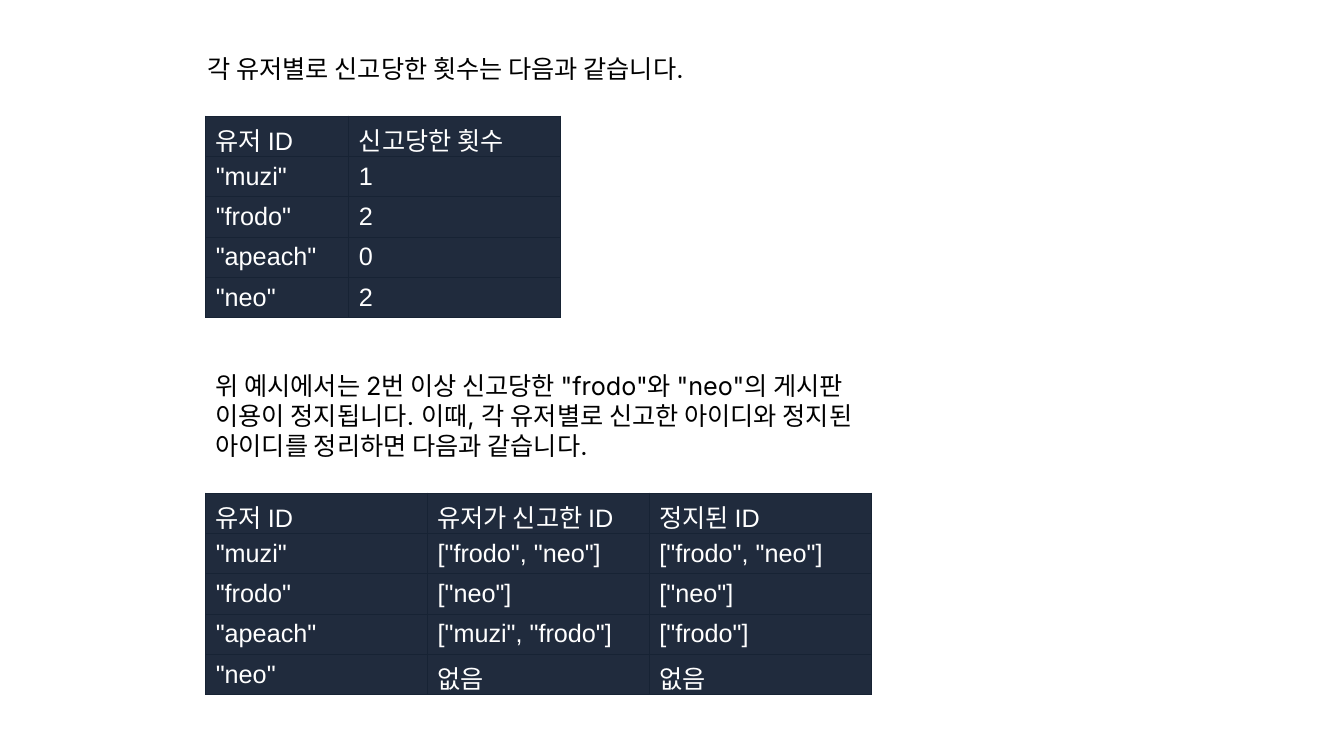
from lxml import etree
from pptx import Presentation
from pptx import util as u
from pptx.dml.color import RGBColor
from pptx.enum import text
from pptx.oxml import ns

COLORS = {"ink": "000000", "cell": "202B3D", "border": "172334", "light": "FFFFFF"}
ROW_HEIGHT = 0.4


def rgb(name):
    return RGBColor.from_string(COLORS[name])


class Page:
    body = {"name": "Inter", "size": u.Pt(18)}
    cell = {"name": "Arial", "size": u.Pt(18)}

    def __init__(self, slide):
        self.slide = slide

    def add_words(self, tf, words, style, color):
        p = tf.paragraphs[0]
        r = p.add_run()
        r.text = words
        for key, value in style.items():
            setattr(r.font, key, value)
        r.font.color.rgb = rgb(color)

    def text(self, words, left, top, width, height, wrap=True):
        sp = self.slide.shapes.add_textbox(*map(u.Inches, (left, top, width, height)))
        sp.text_frame.word_wrap = wrap
        sp.text_frame.auto_size = text.MSO_AUTO_SIZE.SHAPE_TO_FIT_TEXT
        self.add_words(sp.text_frame, words, self.body, "ink")

    def border(self, cell):
        """Draw a thin line on all four sides; lines must precede the fill."""
        props = cell._tc.get_or_add_tcPr()
        for i, side in enumerate("LRTB"):
            ln = etree.Element(ns.qn("a:ln" + side), w=str(u.Pt(0.6)))
            fill = etree.SubElement(ln, ns.qn("a:solidFill"))
            etree.SubElement(fill, ns.qn("a:srgbClr"), val=COLORS["border"])
            props.insert(i, ln)

    def table(self, rows, left, top, widths):
        size = (left, top, sum(widths), ROW_HEIGHT * len(rows))
        table = self.slide.shapes.add_table(
            len(rows), len(widths), *map(u.Inches, size)).table
        table.first_row = table.horz_banding = False
        for column, width in zip(table.columns, widths):
            column.width = u.Inches(width)
        for i, row in enumerate(rows):
            table.rows[i].height = u.Inches(ROW_HEIGHT)
            for j, words in enumerate(row):
                cell = table.cell(i, j)
                cell.vertical_anchor = text.MSO_ANCHOR.MIDDLE
                cell.fill.solid()
                cell.fill.fore_color.rgb = rgb("cell")
                self.border(cell)
                self.add_words(cell.text_frame, words, self.cell, "light")


REPORT_COUNTS = [
    ("유저 ID", "신고당한 횟수"),
    ('"muzi"', "1"),
    ('"frodo"', "2"),
    ('"apeach"', "0"),
    ('"neo"', "2"),
]
REPORTED_IDS = [
    ("유저 ID", "유저가 신고한 ID", "정지된 ID"),
    ('"muzi"', '["frodo", "neo"]', '["frodo", "neo"]'),
    ('"frodo"', '["neo"]', '["neo"]'),
    ('"apeach"', '["muzi", "frodo"]', '["frodo"]'),
    ('"neo"', "없음", "없음"),
]


def main():
    prs = Presentation()
    prs.slide_width, prs.slide_height = u.Inches(13.33), u.Inches(7.5)
    page = Page(prs.slides.add_slide(prs.slide_layouts[6]))
    page.text("각 유저별로 신고당한 횟수는 다음과 같습니다.", 1.96, 0.48, 5.5, 0.4, wrap=False)
    page.table(REPORT_COUNTS, 2.04, 1.15, [1.42, 2.1])
    page.text('위 예시에서는 2번 이상 신고당한 "frodo"와 "neo"의 게시판 이용이 정지됩니다. '
              "이때, 각 유저별로 신고한 아이디와 정지된 아이디를 정리하면 다음과 같습니다.",
              2.04, 3.62, 7.1, 1.01)
    page.table(REPORTED_IDS, 2.04, 4.89, [2.2] * 3)
    prs.save("out.pptx")


if __name__ == "__main__":
    main()
